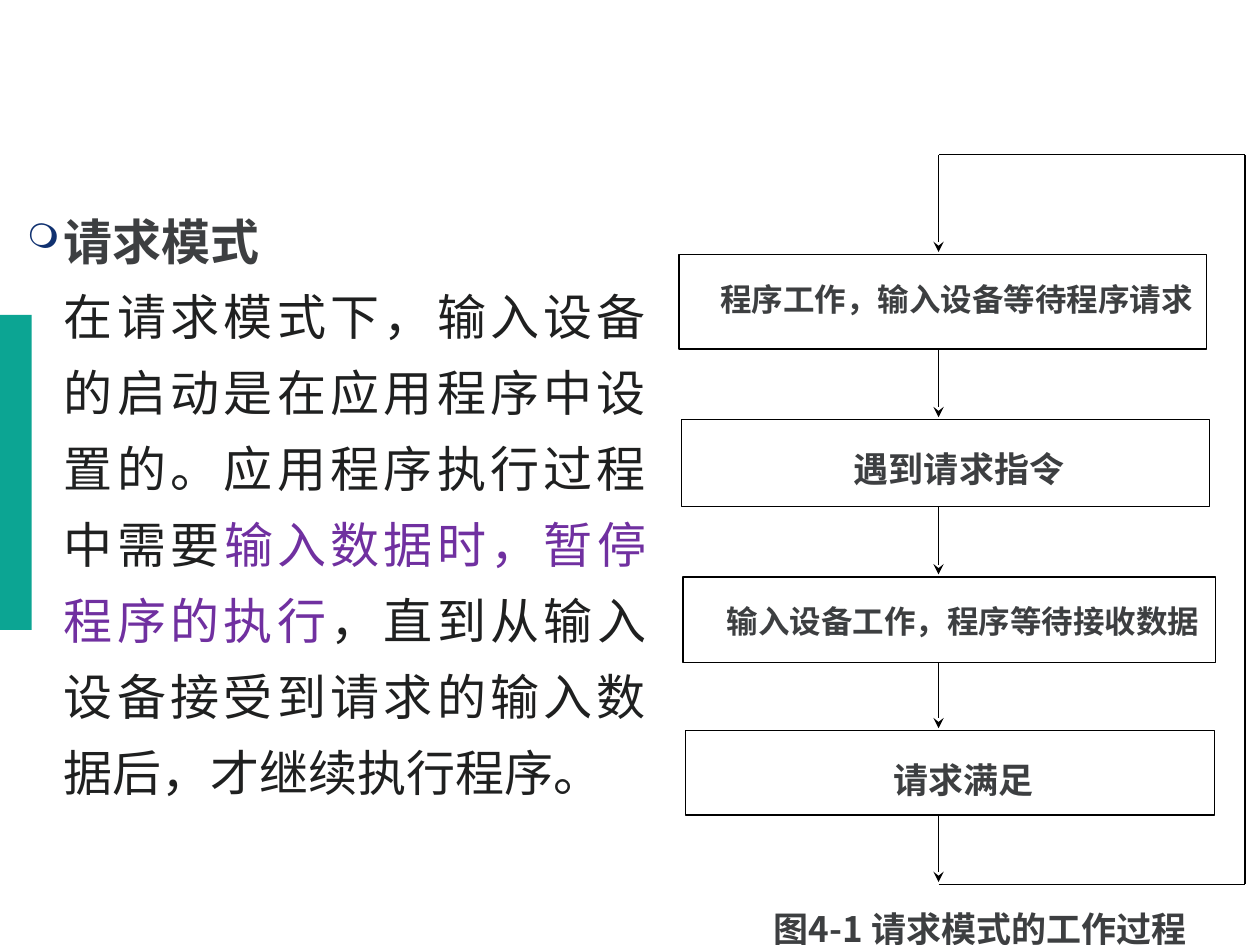
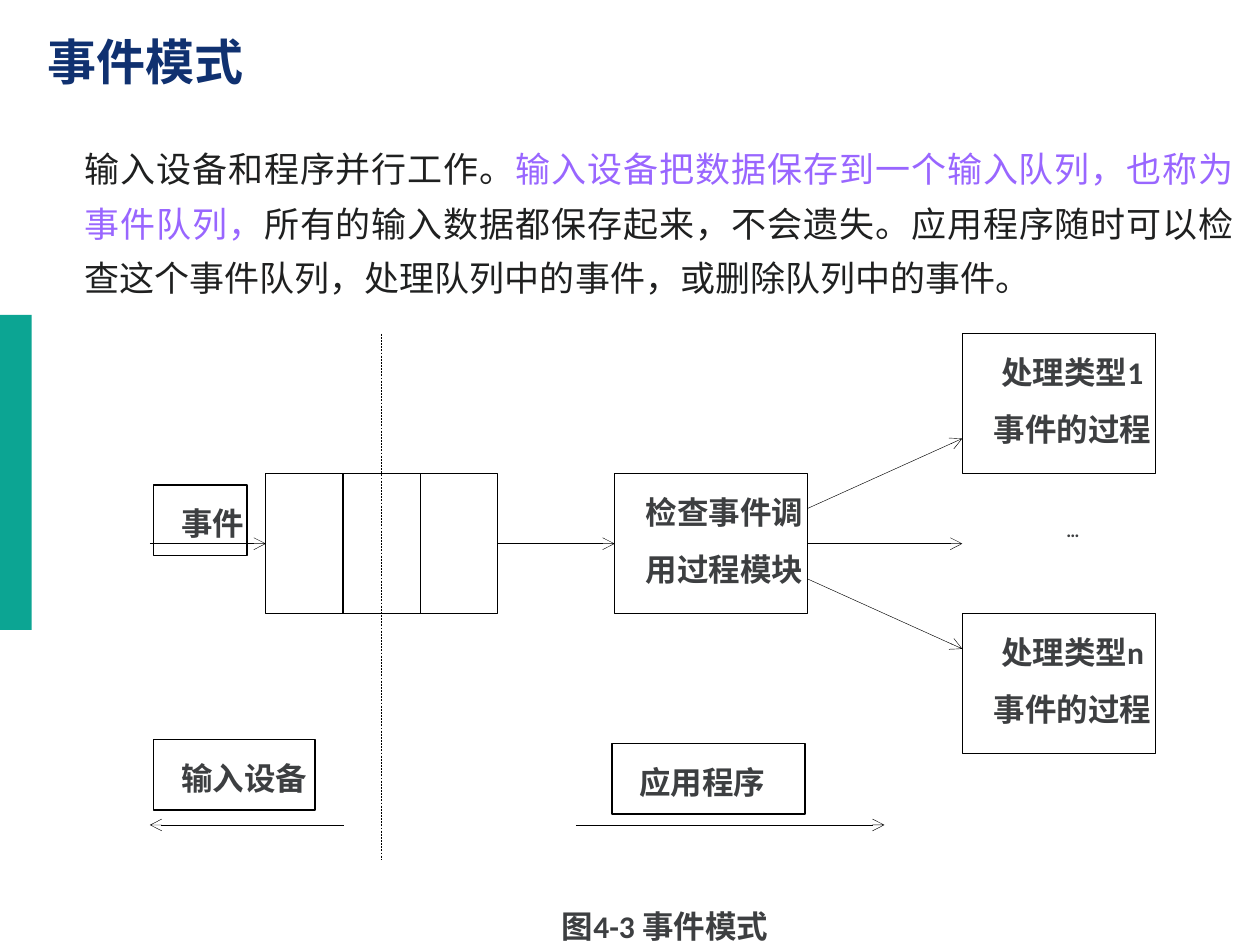
from lxml.etree import SubElement
from pptx import Presentation
from pptx.dml.color import RGBColor
from pptx.enum.dml import MSO_LINE
from pptx.enum.shapes import MSO_CONNECTOR, MSO_SHAPE
from pptx.enum.text import MSO_ANCHOR, PP_ALIGN
from pptx.oxml.ns import qn
from pptx.util import Cm, Pt

WHITE = RGBColor(0xFF, 0xFF, 0xFF)
BLACK = RGBColor(0x00, 0x00, 0x00)
TEAL = RGBColor(0x0C, 0xA5, 0x93)
NAVY = RGBColor(0x10, 0x31, 0x70)
GREY = RGBColor(0x3D, 0x3F, 0x41)
INK = RGBColor(0x1F, 0x20, 0x20)
PURPLE = RGBColor(0x70, 0x30, 0xA0)
VIOLET = RGBColor(0x99, 0x66, 0xFF)

CJK = "Noto Sans CJK SC"
LABEL_INDENT = 0.55
BODY_INDENT = 0.74
LABEL_PITCH = 1.81
BODY_PITCH = 1.55


def add_run(p, text, size, color, font=CJK, bold=False):
    r = p.add_run()
    r.text = text
    r.font.size = Pt(size)
    r.font.bold = bold
    r.font.name = font
    r.font.color.rgb = color
    SubElement(r._r.get_or_add_rPr(), qn("a:ea"), typeface=CJK)


def set_paragraph(p, align, pitch, indent=0, bullet=None):
    p.alignment = align
    p.line_spacing = Pt(pitch)
    p.space_before = Pt(0)
    pPr = p._p.get_or_add_pPr()
    pPr.set("marL", str(Cm(indent)))
    pPr.set("indent", str(-Cm(indent) if bullet else 0))
    if bullet:
        clr = SubElement(pPr, qn("a:buClr"))
        SubElement(clr, qn("a:srgbClr"), val=str(NAVY))
        SubElement(pPr, qn("a:buSzPct"), val="70000")
        SubElement(pPr, qn("a:buChar"), char=bullet)


def set_label(sp, text, size, font=CJK, align=PP_ALIGN.CENTER):
    tf = sp.text_frame
    tf.word_wrap = True
    tf.vertical_anchor = MSO_ANCHOR.TOP
    p = tf.paragraphs[0]
    set_paragraph(p, align, round(size * LABEL_PITCH, 1), LABEL_INDENT)
    add_run(p, text, size, GREY, font, True)


def add_textbox(s, box):
    sp = s.shapes.add_textbox(*map(Cm, box))
    sp.text_frame.word_wrap = True
    return sp


def add_rect(s, box, fill=None, line=BLACK):
    sp = s.shapes.add_shape(MSO_SHAPE.RECTANGLE, *map(Cm, box))
    sp.shadow.inherit = False
    if fill is None:
        sp.fill.background()
    else:
        sp.fill.solid()
        sp.fill.fore_color.rgb = fill
    if line is None:
        sp.line.fill.background()
    else:
        sp.line.color.rgb = line
        sp.line.width = Pt(0.75)
    return sp


def add_line(s, x1, y1, x2, y2, width=0.75, head=None):
    c = s.shapes.add_connector(MSO_CONNECTOR.STRAIGHT, *map(Cm, (x1, y1, x2, y2)))
    c.line.color.rgb = BLACK
    c.line.width = Pt(width)
    if head:
        SubElement(c.line._get_or_add_ln(), qn("a:tailEnd"), type=head)
    SubElement(c._element.spPr, qn("a:effectLst"))
    return c


def add_base_slide(prs):
    s = prs.slides.add_slide(prs.slide_layouts[6])
    add_rect(s, (0, 6.35, 0.64, 6.35), TEAL, None)
    return s


def add_title(s, box, text):
    tf = add_textbox(s, box).text_frame
    tf.vertical_anchor = MSO_ANCHOR.BOTTOM
    p = tf.paragraphs[0]
    set_paragraph(p, PP_ALIGN.LEFT, 30)
    add_run(p, text, 28, NAVY, "Montserrat", True)


def add_body(s, box, size, parts, heading=None):
    tf = add_textbox(s, box).text_frame
    p = tf.paragraphs[0]
    if heading:
        set_paragraph(p, PP_ALIGN.JUSTIFY, 39, BODY_INDENT, "❍")
        add_run(p, heading, size, GREY, "Arial", True)
        p = tf.add_paragraph()
    set_paragraph(p, PP_ALIGN.JUSTIFY, round(size * BODY_PITCH, 1), BODY_INDENT)
    for text, color in parts:
        add_run(p, text, size, color)


def add_request_flow(s, box):
    left, top, width, height = box
    spine, right, bottom = left + 5.23, left + width, top + height
    steps = [
        ("程序工作，输入设备等待程序请求", 18, 0, 2.01, 10.64, 1.91),
        ("遇到请求指令", 20, 0.05, 5.34, 10.64, 1.75),
        ("输入设备工作，程序等待接收数据", 18, 0.08, 8.51, 10.74, 1.73),
        ("请求满足", 20, 0.13, 11.61, 10.67, 1.7),
    ]
    for text, size, dx, dy, w, h in steps:
        set_label(add_rect(s, (left + dx, top + dy, w, h), WHITE), text, size)

    starts = [0] + [dy + h for _, _, _, dy, _, h in steps]
    ends = [dy for _, _, _, dy, _, _ in steps] + [height]
    for start, end in zip(starts, ends):
        add_line(s, spine, top + start, spine, top + end - 0.05, head="stealth")

    corners = [(spine, bottom), (right, bottom), (right, top), (spine, top)]
    for start, end in zip(corners, corners[1:]):
        add_line(s, *start, *end)

    caption = add_textbox(s, (left + 0.25, bottom - 0.1, 11.1, 1.3))
    set_label(caption, "图4-1 请求模式的工作过程", 20)


def add_event_diagram(s, box):
    left, top, width, height = box
    block_h, tag_h, block_w = 2.82, 1.42, 3.89
    queue_x, queue_w = left + 2.34, 4.67
    check_x, type_x = left + 9.37, left + width - block_w
    mid = top + 1.5 * block_h
    check_right = check_x + block_w

    def add_label_box(text, x, y, w, h, size=18, fill=None, line=BLACK,
                      font="Calibri", align=PP_ALIGN.JUSTIFY):
        sp = add_rect(s, (x, y, w, h), fill, line)
        tf = sp.text_frame
        tf.margin_left = tf.margin_right = tf.margin_top = tf.margin_bottom = 0
        set_label(sp, text, size, font, align)
        return sp

    def add_block(text, x, row):
        return add_label_box(text, x, top + row * block_h, block_w, block_h,
                             fill=WHITE, align=PP_ALIGN.CENTER)

    def add_arrow(x1, y1, x2, y2):
        return add_line(s, x1, y1, x2, y2, 0.25, "arrow")

    add_label_box("应用程序", left + 9.32, top + 8.26, block_w, tag_h)
    add_label_box("事件", left + 0.08, top + 3.05, 1.88, tag_h)
    add_label_box("输入设备", left + 0.08, top + 8.18, 3.25, tag_h, font="Arial")
    queue = add_rect(s, (queue_x, top + block_h, queue_w, block_h), WHITE)
    check = add_block("检查事件调用过程模块", check_x, 1)
    add_block("处理类型1事件的过程", type_x, 0)
    add_block("处理类型n事件的过程", type_x, 2)
    add_label_box("…", left + 17.93, mid - tag_h / 2, 1.55, tag_h,
                  size=10.5, fill=WHITE, line=None)

    for i in (1, 2):
        x = queue_x + queue_w * i / 3
        add_line(s, x, top + block_h, x, top + 2 * block_h)
    divide = queue_x + queue_w / 2
    border = add_line(s, divide, top, divide, top + height, 0.25)
    border.line.dash_style = MSO_LINE.DASH

    add_arrow(left, mid, queue_x, mid).end_connect(queue, 1)
    c = add_arrow(queue_x + queue_w, mid, check_x, mid)
    c.begin_connect(queue, 3)
    c.end_connect(check, 1)
    add_arrow(check_right, mid, type_x, mid).begin_connect(check, 3)
    for side in (-1, 1):
        add_arrow(check_right, mid + side * 0.71, type_x, mid + side * 2.12)
    add_arrow(left + 3.91, top + 9.9, left, top + 9.9)
    add_arrow(left + 8.59, top + 9.9, left + 14.81, top + 9.9)

    caption = add_textbox(s, (left + 5.59, top + 11.05, 9.04, 1.3))
    set_label(caption, "图4-3 事件模式", 18, "Calibri")


def build_request_slide(prs):
    s = add_base_slide(prs)
    add_body(s, (0.3, 3.94, 12.98, 13.59), 28, [
        ("在请求模式下，输入设备的启动是在应用程序中设置的。应用程序执行过程中需要", INK),
        ("输入数据时，暂停程序的执行", PURPLE),
        ("，直到从输入设备接受到请求的输入数据后，才继续执行程序。", INK),
    ], "请求模式")
    add_request_flow(s, (13.69, 3.12, 11.41, 14.71))


def build_event_slide(prs):
    s = add_base_slide(prs)
    add_body(s, (0.71, 2.61, 24.41, 16.2), 20, [
        ("输入设备和程序并行工作。", INK),
        ("输入设备把数据保存到一个输入队列，也称为事件队列，", VIOLET),
        ("所有的输入数据都保存起来，不会遗失。应用程序随时可以检查这个事件队列，"
         "处理队列中的事件，或删除队列中的事件。", INK),
    ])
    add_title(s, (0.71, 0.25, 22.1, 1.7), "事件模式")
    add_event_diagram(s, (3.02, 6.73, 20.27, 10.59))


def main():
    prs = Presentation()
    prs.slide_width, prs.slide_height = Cm(25.4), Cm(19.05)
    build_request_slide(prs)
    build_event_slide(prs)
    prs.save("out.pptx")


if __name__ == "__main__":
    main()
